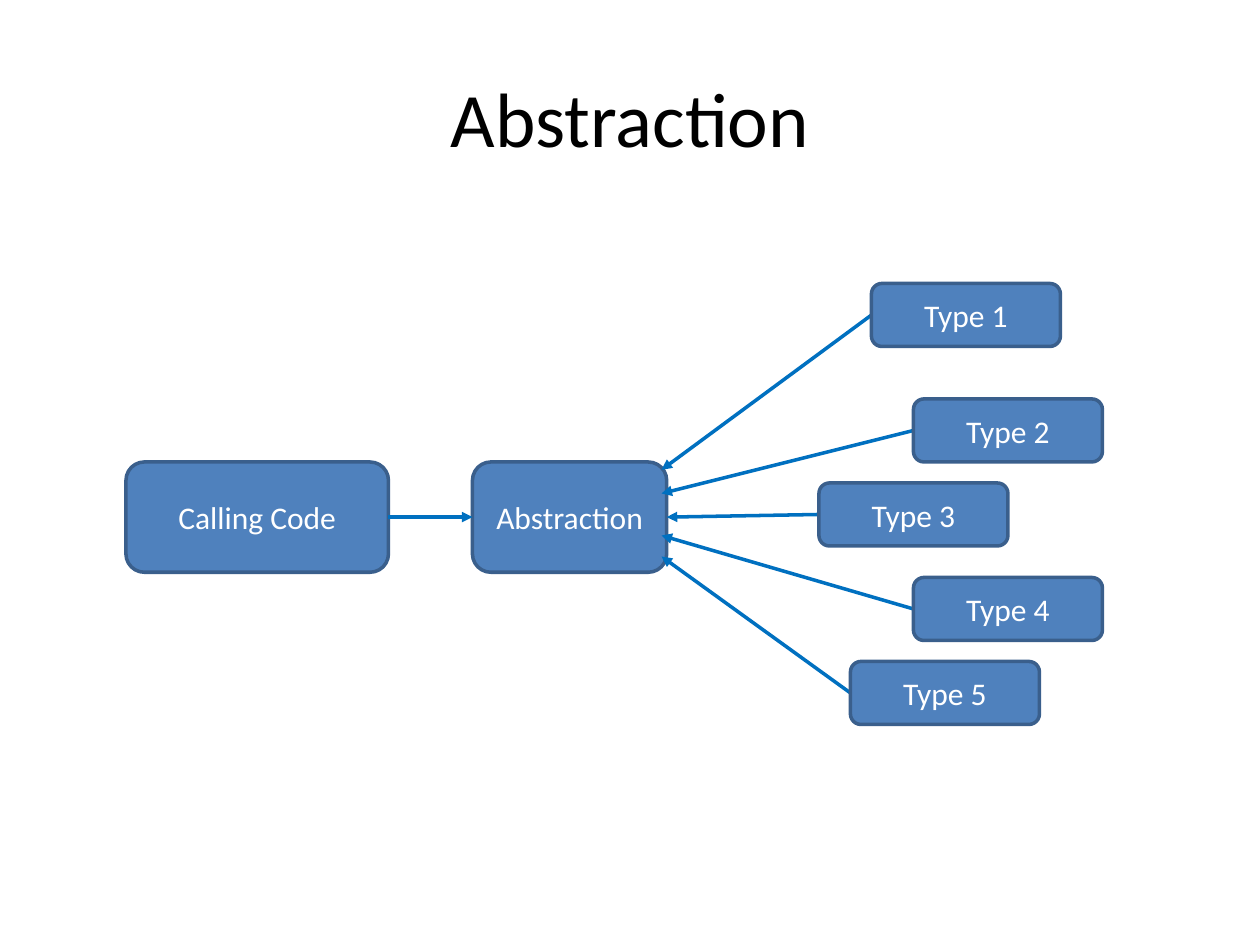
"""Build the Abstraction slide: calling code reaches five types through one abstraction."""
from lxml.etree import SubElement
from pptx import Presentation
from pptx.dml.color import RGBColor
from pptx.enum.shapes import MSO_CONNECTOR, MSO_SHAPE
from pptx.enum.text import MSO_ANCHOR, PP_ALIGN
from pptx.oxml.ns import qn
from pptx.util import Pt

BLACK = RGBColor(0, 0, 0)
WHITE = RGBColor(255, 255, 255)
BOX_FILL = RGBColor(0x4F, 0x81, 0xBD)
BOX_LINE = RGBColor(0x3A, 0x5F, 0x8C)
ARROW = RGBColor(0x00, 0x70, 0xC0)

TITLE = "Abstraction"
ABSTRACTION = ("Abstraction", 270, 264, 111, 63)
CALLER = ("Calling Code", 72, 264, 150, 63)
TYPE_WIDTH, TYPE_HEIGHT = 108, 36
TYPES = [
    ("Type 1", 498, 162, (378, 268.5)),
    ("Type 2", 522, 228, (378, 282)),
    ("Type 3", 468, 276, (381, 295.5)),
    ("Type 4", 522, 330, (378, 306)),
    ("Type 5", 486, 378, (378, 318)),
]


def format_text(shape, size, color):
    frame = shape.text_frame
    frame.word_wrap = True
    frame.vertical_anchor = MSO_ANCHOR.MIDDLE
    paragraph = frame.paragraphs[0]
    paragraph.alignment = PP_ALIGN.CENTER
    font = paragraph.runs[0].font
    font.name, font.size, font.color.rgb = "Calibri", Pt(size), color


def add_box(slide, text, left, top, width, height):
    box = slide.shapes.add_shape(
        MSO_SHAPE.ROUNDED_RECTANGLE, Pt(left), Pt(top), Pt(width), Pt(height))
    box.shadow.inherit = False
    box.fill.solid()
    box.fill.fore_color.rgb = BOX_FILL
    box.line.color.rgb = BOX_LINE
    box.line.width = Pt(2)
    box.text_frame.text = text
    format_text(box, 18, WHITE)


def add_arrow(slide, tip, start):
    arrow = slide.shapes.add_connector(
        MSO_CONNECTOR.STRAIGHT, *(Pt(value) for value in tip + start))
    arrow.line.color.rgb = ARROW
    arrow.line.width = Pt(2)
    SubElement(arrow.line._get_or_add_ln(), qn("a:headEnd"), type="triangle")
    SubElement(arrow._element.spPr, qn("a:effectLst"))


presentation = Presentation()
presentation.slide_width, presentation.slide_height = Pt(720), Pt(540)
slide = presentation.slides.add_slide(presentation.slide_layouts[5])

title = slide.shapes.title
title.left, title.top, title.width, title.height = Pt(36), Pt(21.6), Pt(648), Pt(90)
title.text_frame.text = TITLE
format_text(title, 44, BLACK)

add_box(slide, *ABSTRACTION)
for name, left, top, tip in TYPES:
    add_arrow(slide, tip, (left, top + TYPE_HEIGHT / 2))

add_box(slide, *CALLER)
middle = CALLER[2] + CALLER[4] / 2
add_arrow(slide, (ABSTRACTION[1], middle), (CALLER[1] + CALLER[3], middle))

for name, left, top, tip in TYPES:
    add_box(slide, name, left, top, TYPE_WIDTH, TYPE_HEIGHT)

presentation.save("out.pptx")
